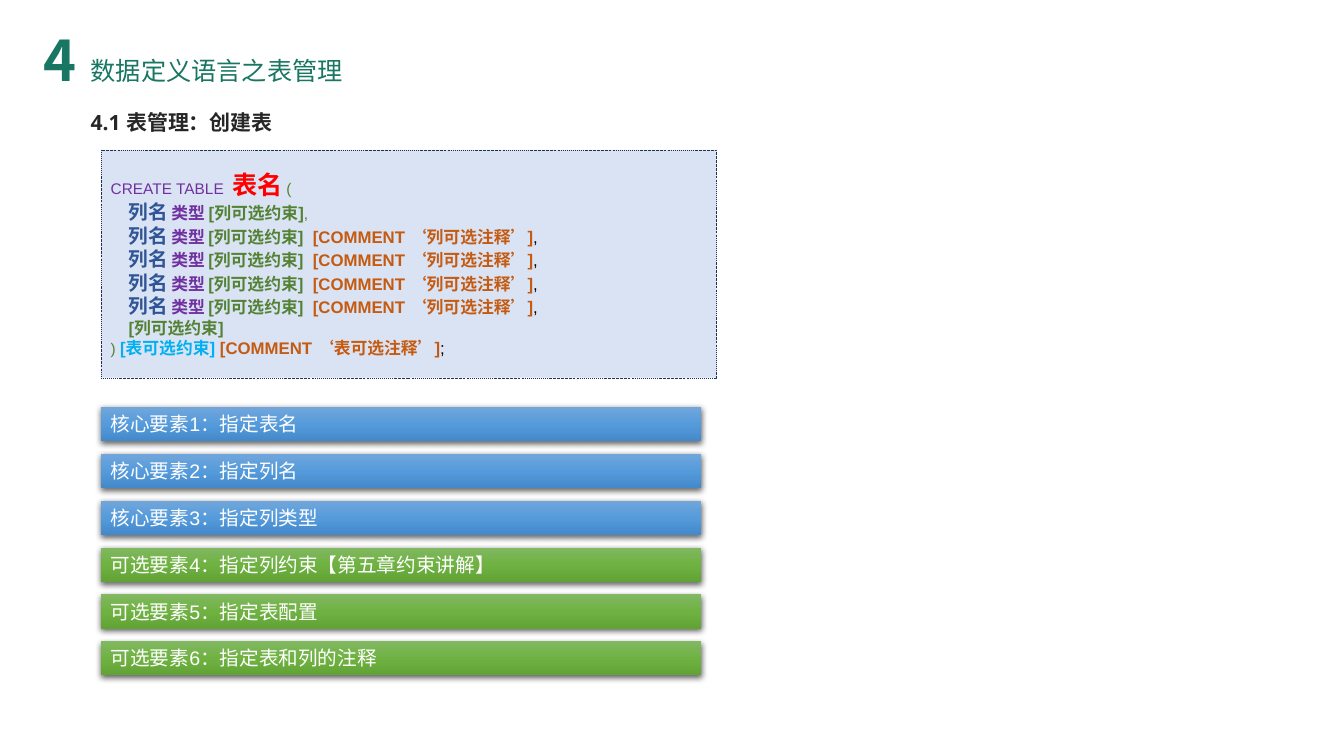
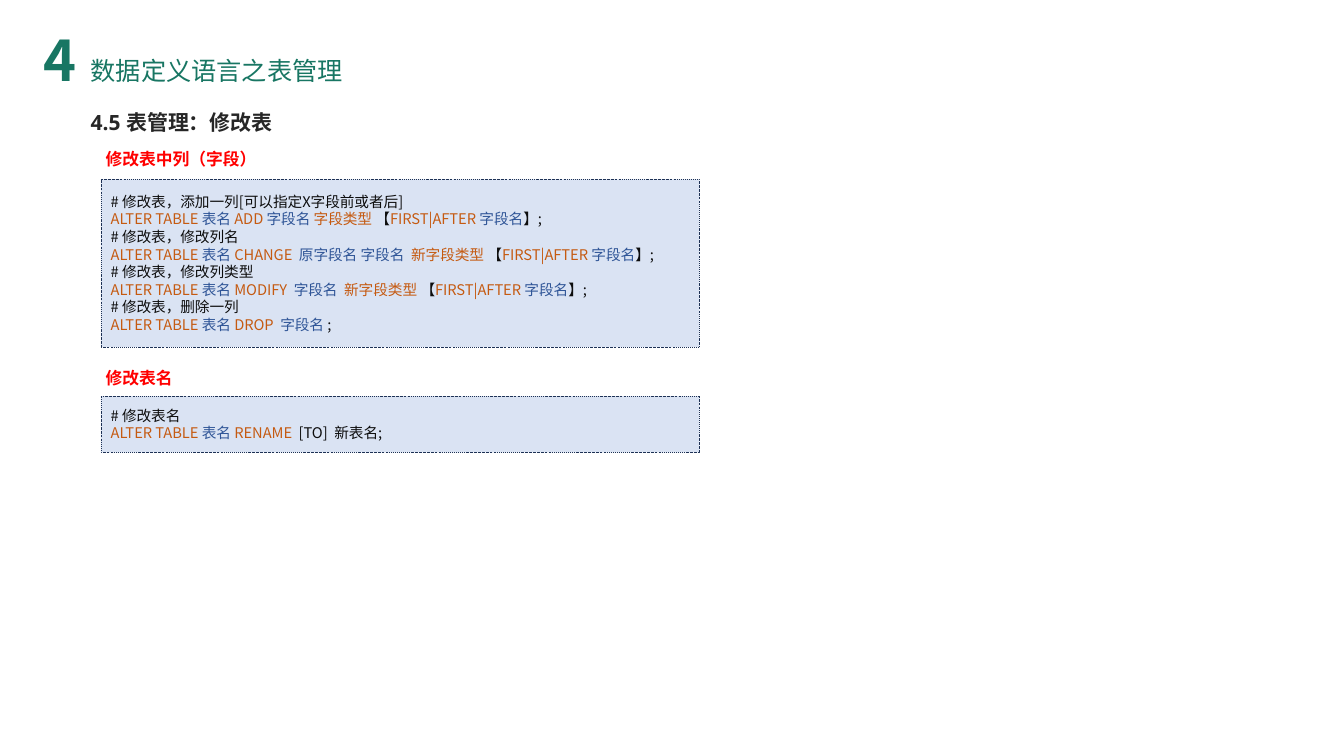
from copy import deepcopy

from lxml import etree
from pptx import Presentation
from pptx import util as u
from pptx.dml.color import RGBColor
from pptx.enum import dml, shapes, text
from pptx.oxml.ns import qn

COLOURS = {
    "green": "187663", "heading": "262626", "red": "FF0000", "panel": "DAE3F3",
    "border": "1E3256", "purple": "7030A0", "moss": "548235", "navy": "2F5597",
    "orange": "C55A11", "sky": "00B0F0", "black": "000000", "ink": "0D0D0D",
    "white": "FFFFFF",
}
GRADIENTS = {
    "core": ("71A6DB", "559BDB", "448ACA"),
    "optional": ("81B861", "6FB242", "62A336"),
}
SANS, LATIN, HEADING = "Noto Sans CJK SC", "Arial", "Open Sans"
LEFT = 2.54
CODE_INDENT = 0.45

NAME = ("列名", "navy", 14, True)
TYPE = ("类型", "purple", 12, True)
GAP = (" ", "moss", 11)
CONSTRAINT = ("[列可选约束]", "moss", 12, True)
COLUMN = [NAME, GAP, TYPE, GAP, CONSTRAINT, ("  ", "moss", 12, True),
          ("[COMMENT ‘列可选注释’]", "orange", 12, True), (",", "black", 12)]
CREATE_LINES = [
    (0, [("CREATE TABLE  ", "purple", 11), ("表名", "red", 18, True), (" (", "moss", 11)]),
    (CODE_INDENT, [NAME, GAP, TYPE, (" ", "purple", 12, True), CONSTRAINT, (",", "moss", 11)]),
    *[(CODE_INDENT, COLUMN)] * 4,
    (CODE_INDENT, [CONSTRAINT]),
    (0, [(") ", "moss", 11), ("[表可选约束] ", "sky", 12, True),
         ("[COMMENT ‘表可选注释’]", "orange", 12, True), (";", "black", 12)]),
]
ELEMENTS = [
    ("core", "核心要素1：指定表名"),
    ("core", "核心要素2：指定列名"),
    ("core", "核心要素3：指定列类型"),
    ("optional", "可选要素4：指定列约束【第五章约束讲解】"),
    ("optional", "可选要素5：指定表配置"),
    ("optional", "可选要素6：指定表和列的注释"),
]


def comment(words):
    return 0, [(words, "ink", 10.5)]


def alter(*parts):
    start = [("ALTER TABLE ", "orange"), ("表名 ", "navy")]
    return 0, [(words, colour, 10.5) for words, colour in [*start, *parts]]


POSITION = [("【", "ink"), ("FIRST|AFTER ", "orange"), ("字段名", "navy"), ("】;", "ink")]
ALTER_LINES = [
    comment("# 修改表，添加一列[可以指定X字段前或者后]"),
    alter(("ADD ", "orange"), ("字段名 ", "navy"), ("字段类型 ", "orange"), *POSITION),
    comment("# 修改表，修改列名"),
    alter(("CHANGE  ", "orange"), ("原字段名 字段名  ", "navy"), ("新字段类型 ", "orange"), *POSITION),
    comment("# 修改表，修改列类型"),
    alter(("MODIFY ", "orange"), (" 字段名  ", "navy"), ("新字段类型 ", "orange"), *POSITION),
    comment("# 修改表，删除一列"),
    alter(("DROP ", "orange"), (" 字段名 ", "navy"), (";", "ink")),
]
RENAME_LINES = [
    comment("# 修改表名"),
    alter(("RENAME", "orange"), ("  [TO]  新表名;", "ink")),
]


def rgb(name):
    return RGBColor.from_string(COLOURS[name])


def add_span(para, font, words, colour, size, bold=False):
    span = para.add_run()
    span.text = words
    span.font.name = font
    span.font.size = u.Pt(size)
    span.font.bold = bold
    span.font.color.rgb = rgb(colour)
    etree.SubElement(span.font._element, qn("a:ea"), typeface=SANS)


def write_lines(box, font, lines, anchor=text.MSO_ANCHOR.TOP):
    frame = box.text_frame
    frame.word_wrap = True
    frame.auto_size = text.MSO_AUTO_SIZE.NONE
    frame.vertical_anchor = anchor
    for number, (indent, parts) in enumerate(lines):
        para = frame.add_paragraph() if number else frame.paragraphs[0]
        para.alignment = text.PP_ALIGN.LEFT
        para.space_before = u.Pt(0)
        properties = para._p.get_or_add_pPr()
        properties.set("marL", str(u.Cm(indent)))
        properties.set("indent", "0")
        etree.SubElement(properties, qn("a:buNone"))
        for part in parts:
            add_span(para, font, *part)


def move(box, left, top, width, height):
    box.left, box.top, box.width, box.height = map(u.Cm, (left, top, width, height))


def add_label(page, place, words, colour, size):
    box = page.shapes.add_textbox(*map(u.Cm, place))
    write_lines(box, SANS, [(0, [(words, colour, size, True)])])
    return box


def add_rectangle(page, *place):
    box = page.shapes.add_shape(shapes.MSO_SHAPE.RECTANGLE, *map(u.Cm, place))
    box.shadow.inherit = False
    return box


def add_code_panel(page, top, width, height, font, lines):
    panel = add_rectangle(page, LEFT, top, width, height)
    panel.fill.solid()
    panel.fill.fore_color.rgb = rgb("panel")
    panel.line.color.rgb = rgb("border")
    panel.line.width = u.Pt(0.25)
    panel.line.dash_style = dml.MSO_LINE.DASH_DOT
    write_lines(panel, font, lines, text.MSO_ANCHOR.MIDDLE)


def add_shadow(box):
    effects = box._element.spPr.find(qn("a:effectLst"))
    shadow = etree.SubElement(
        effects, qn("a:outerShdw"), blurRad=str(u.Pt(4.5)), dist=str(u.Pt(1.5)),
        dir="5400000", algn="ctr", rotWithShape="0")
    colour = etree.SubElement(shadow, qn("a:srgbClr"), val=COLOURS["black"])
    etree.SubElement(colour, qn("a:alpha"), val="63000")


def fill_gradient(box, colours):
    box.fill.gradient()
    box.fill.gradient_angle = 270
    stop_list = next(box._element.spPr.iter(qn("a:gsLst")))
    stop_list.append(deepcopy(stop_list[-1]))
    for number, (stop, colour) in enumerate(zip(box.fill.gradient_stops, colours)):
        stop.position = number / 2
        stop.color.rgb = RGBColor.from_string(colour)


def add_element_bar(page, top, kind, words):
    bar = add_rectangle(page, LEFT, top, 15.14, 0.86)
    fill_gradient(bar, GRADIENTS[kind])
    bar.line.fill.background()
    add_shadow(bar)
    write_lines(bar, LATIN, [(0, [(words, "white", 14)])])


def add_page(deck, heading):
    page = deck.slides.add_slide(deck.slide_layouts[1])
    title, body = page.placeholders
    move(title, 2.03, 1.27, 7.16, 1.02)
    write_lines(title, SANS, [(0, [("数据定义语言之表管理", "green", 18)])])
    move(body, 2.03, 2.62, 6.71, 0.89)
    write_lines(body, HEADING, [(0, [(heading, "heading", 15, True)])])
    chapter = add_label(page, (0.84, 0.53, 1.4, 1.96), "4", "green", 40)
    chapter.text_frame.word_wrap = False
    return page


def add_create_page(deck):
    page = add_page(deck, "4.1 表管理：创建表")
    add_code_panel(page, 3.78, 15.52, 5.74, LATIN, CREATE_LINES)
    for number, (kind, words) in enumerate(ELEMENTS):
        add_element_bar(page, 10.26 + number * 1.18, kind, words)


def add_alter_page(deck):
    page = add_page(deck, "4.5 表管理：修改表")
    sections = [
        (3.63, "修改表中列（字段）", 4.52, 4.22, ALTER_LINES),
        (9.14, "修改表名", 9.98, 1.42, RENAME_LINES),
    ]
    for label_top, label, panel_top, height, lines in sections:
        add_label(page, (2.41, label_top, 9.75, 0.76), label, "red", 12)
        add_code_panel(page, panel_top, 15.09, height, SANS, lines)


def main():
    deck = Presentation()
    deck.slide_width, deck.slide_height = u.Cm(33.87), u.Cm(19.05)
    add_create_page(deck)
    add_alter_page(deck)
    deck.save("out.pptx")


if __name__ == "__main__":
    main()
